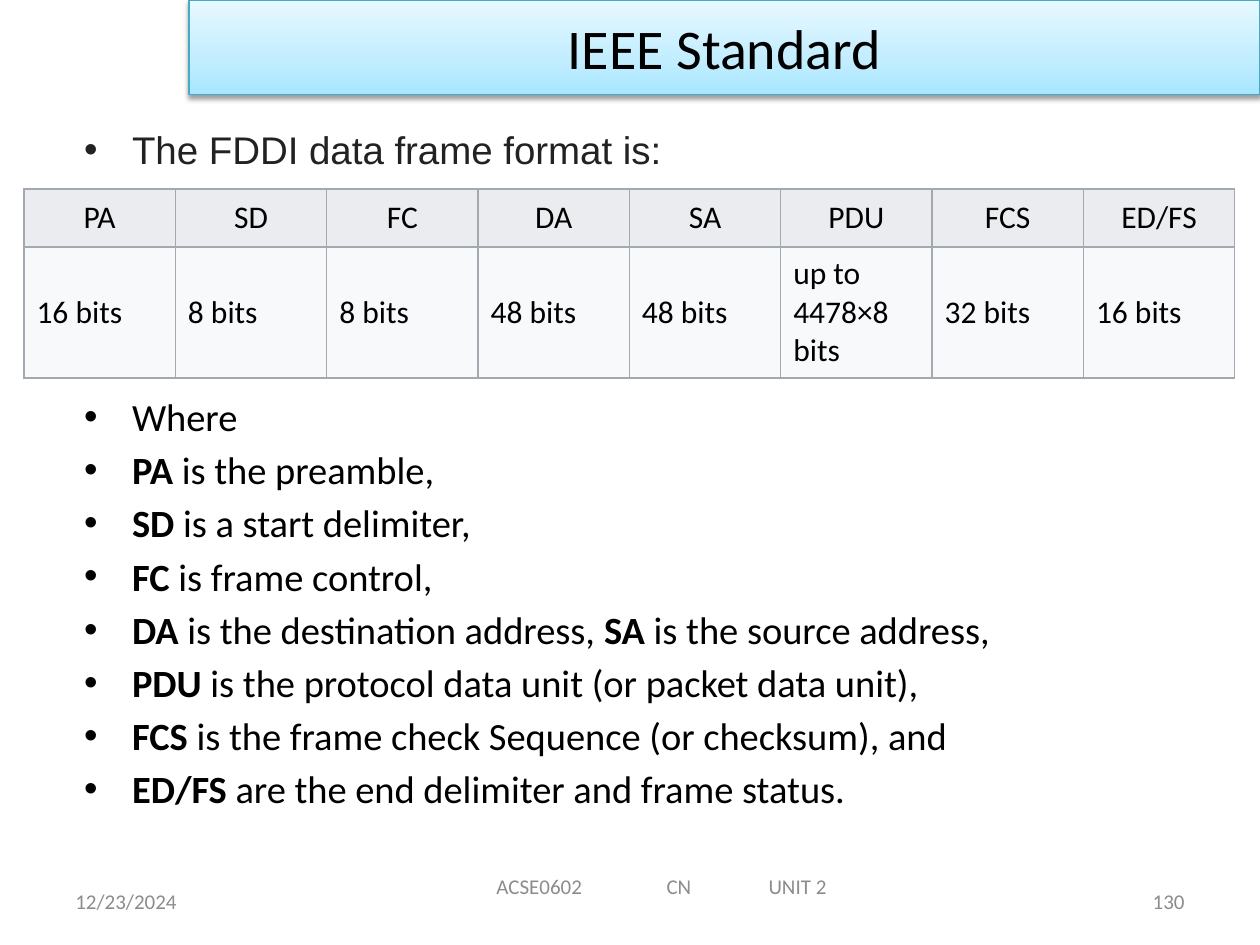
from dataclasses import dataclass

from lxml.etree import SubElement
from pptx import Presentation
from pptx.dml.color import RGBColor
from pptx.enum.shapes import MSO_SHAPE as Shape
from pptx.enum.text import MSO_ANCHOR as Anchor, PP_ALIGN as Align
from pptx.oxml.ns import qn
from pptx.util import Inches, Pt


@dataclass(frozen=True)
class Theme:
    face: str = "Calibri"
    intro_face: str = "Arial"
    ink: str = "000000"
    intro: str = "222222"
    muted: str = "8C8C8C"
    banner: tuple = ((0, "A7E6FF"), (35, "C1EDFF"), (100, "E7F8FF"))
    banner_line: str = "46AAC5"
    border: str = "A2A9B1"
    rows: tuple = ("EAECF0", "F8F9FA")
    title_size: int = 32
    body_size: int = 22
    cell_size: int = 18
    footer_size: int = 12
    line_width: float = 0.75


T = Theme()
FIELDS = (
    ("PA", "16 bits"), ("SD", "8 bits"), ("FC", "8 bits"), ("DA", "48 bits"),
    ("SA", "48 bits"), ("PDU", "up to 4478×8 bits"), ("FCS", "32 bits"),
    ("ED/FS", "16 bits"),
)
INTRO = ((("The FDDI data frame format is:", False),),)
MEANINGS = (
    (("Where", False),),
    (("PA", True), (" is the preamble,", False)),
    (("SD", True), (" is a start delimiter,", False)),
    (("FC", True), (" is frame control,", False)),
    (("DA", True), (" is the destination address, ", False),
     ("SA", True), (" is the source address,", False)),
    (("PDU", True), (" is the protocol data unit (or packet data unit),", False)),
    (("FCS", True), (" is the frame check Sequence (or checksum), and", False)),
    (("ED/FS", True), (" are the end delimiter and frame status.", False)),
)


def set_all(obj, values):
    for name, value in values.items():
        setattr(obj, name, value)


def node(parent, tag, **attrs):
    return SubElement(parent, qn(tag), {k: str(v) for k, v in attrs.items()})


def add_run(p, text, size, color=T.ink, face=T.face, bold=False):
    r = p.add_run()
    r.text = text
    set_all(r.font, {"name": face, "size": Pt(size), "bold": bold})
    r.font.color.rgb = RGBColor.from_string(color)


def add_box(s, box, anchor=Anchor.TOP):
    tf = s.shapes.add_textbox(*map(Inches, box)).text_frame
    set_all(tf, {"word_wrap": True, "vertical_anchor": anchor})
    return tf


def add_bullets(s, box, items, **look):
    tf = add_box(s, box)
    for i, runs in enumerate(items):
        p = tf.paragraphs[0]
        if i:
            p = tf.add_paragraph()
            p.space_before = Pt(4)
        pPr = p._p.get_or_add_pPr()
        pPr.set("marL", str(Inches(0.38)))
        pPr.set("indent", str(Inches(-0.38)))
        node(pPr, "a:buFont", typeface=T.intro_face)
        node(pPr, "a:buChar", char="•")
        for text, bold in runs:
            add_run(p, text, T.body_size, bold=bold, **look)


def add_banner(s, box, text):
    sp = s.shapes.add_shape(Shape.RECTANGLE, *map(Inches, box))
    sp.fill.gradient()
    grad = sp._element.spPr.find(qn("a:gradFill"))
    for child in list(grad):
        grad.remove(child)
    stops = node(grad, "a:gsLst")
    for pos, color in T.banner:
        node(node(stops, "a:gs", pos=pos * 1000), "a:srgbClr", val=color)
    node(grad, "a:lin", ang=270 * 60000, scaled=0)
    sp.line.color.rgb = RGBColor.from_string(T.banner_line)
    sp.line.width = Pt(T.line_width)
    sp.shadow.inherit = False
    effects = sp._element.spPr.find(qn("a:effectLst"))
    shadow = node(effects, "a:outerShdw", blurRad=Pt(3.1), dist=Pt(1.6),
                  dir=90 * 60000, rotWithShape=0)
    node(node(shadow, "a:srgbClr", val="000000"), "a:alpha", val=38000)
    tf = sp.text_frame
    tf.vertical_anchor = Anchor.MIDDLE
    p = tf.paragraphs[0]
    p.alignment = Align.CENTER
    add_run(p, text, T.title_size)


def add_borders(cell):
    tcPr = cell._tc.get_or_add_tcPr()
    for side in "LRTB":
        ln = node(tcPr, f"a:ln{side}", w=Pt(T.line_width))
        node(node(ln, "a:solidFill"), "a:srgbClr", val=T.border)


def add_frame_table(s, box, fields, heights):
    table = s.shapes.add_table(2, len(fields), *map(Inches, box)).table
    set_all(table, {"first_row": False, "horz_banding": False})
    for row, height in zip(table.rows, heights):
        row.height = Inches(height)
    for col, texts in enumerate(fields):
        for row, text in enumerate(texts):
            cell = table.cell(row, col)
            add_borders(cell)
            cell.fill.solid()
            cell.fill.fore_color.rgb = RGBColor.from_string(T.rows[row])
            cell.vertical_anchor = Anchor.MIDDLE
            p = cell.text_frame.paragraphs[0]
            p.alignment = Align.LEFT if row else Align.CENTER
            add_run(p, text, T.cell_size)


def add_footer(s, box, text, align=Align.LEFT, inset=0.1, tabs=()):
    tf = add_box(s, box, Anchor.MIDDLE)
    tf.margin_left = Inches(inset)
    p = tf.paragraphs[0]
    p.alignment = align
    if tabs:
        stops = node(p._p.get_or_add_pPr(), "a:tabLst")
        for pos in tabs:
            node(stops, "a:tab", pos=Inches(pos), algn="l")
    add_run(p, text, T.footer_size, T.muted)


def main():
    prs = Presentation()
    set_all(prs, {"slide_width": Inches(10), "slide_height": Inches(7.5)})
    s = prs.slides.add_slide(prs.slide_layouts[6])
    add_bullets(s, (0.57, 0.95, 9, 0.5), INTRO, color=T.intro, face=T.intro_face)
    add_bullets(s, (0.57, 3.07, 9, 3.77), MEANINGS)
    add_banner(s, (1.5, 0, 8.5, 0.75), "IEEE Standard")
    add_frame_table(s, (0.19, 1.5, 9.61, 1.5), FIELDS, (0.46, 1.04))
    add_footer(s, (0.5, 6.95, 2.33, 0.4), "12/23/2024")
    add_footer(s, (7.17, 6.95, 2.33, 0.4), "130", Align.RIGHT)
    add_footer(s, (2.5, 6.83, 5.5, 0.4), "ACSE0602\tCN\tUNIT 2",
               inset=1.44, tabs=(1.35, 2.16))
    prs.save("out.pptx")


if __name__ == "__main__":
    main()
